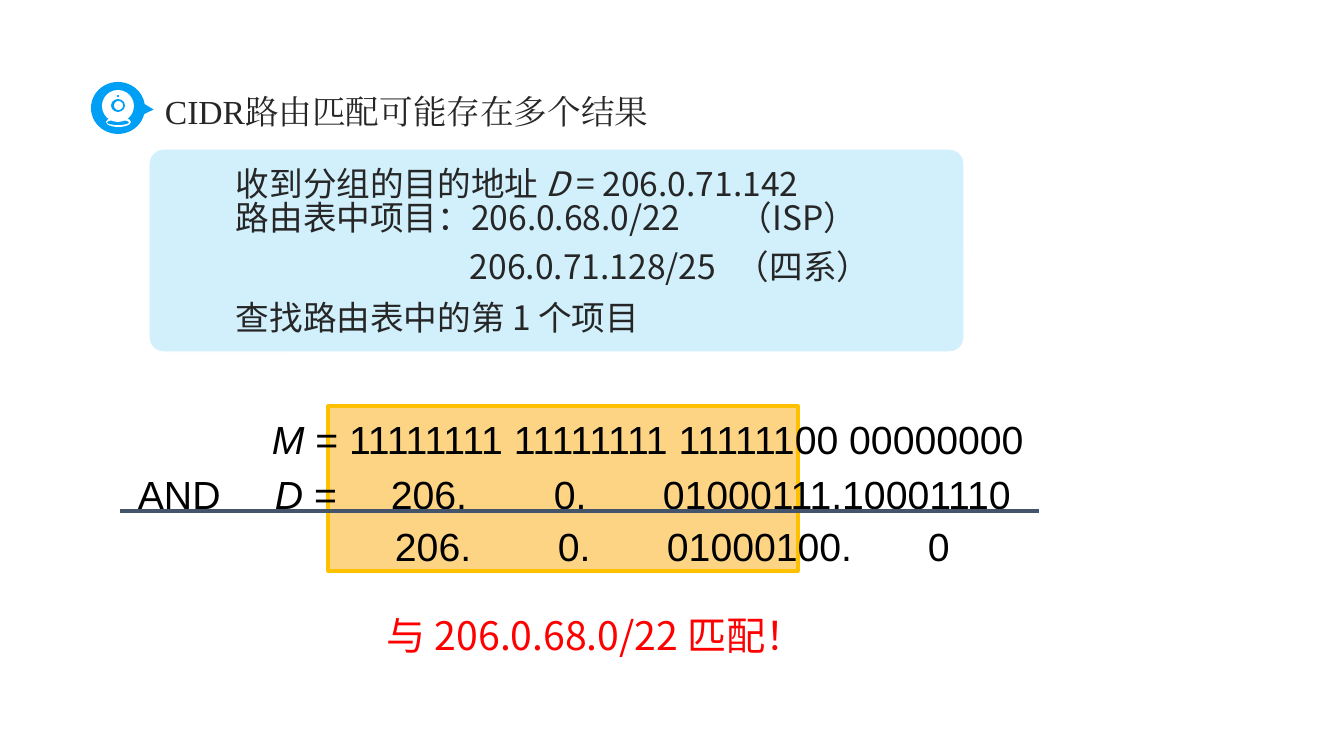
"""Build the slide on CIDR route matching."""
from dataclasses import dataclass

from lxml.etree import SubElement
from pptx import Presentation
from pptx.dml.color import RGBColor
from pptx.enum.shapes import MSO_CONNECTOR, MSO_SHAPE
from pptx.oxml.ns import qn
from pptx.util import Pt


@dataclass(frozen=True)
class Theme:
    blue: str = "009FF6"
    white: str = "FFFFFF"
    ink: str = "262626"
    black: str = "000000"
    red: str = "FF0000"
    sky: str = "00B0F0"
    sand: str = "FCD484"
    gold: str = "FFC000"
    slate: str = "44546A"
    serif: str = "Times New Roman"
    sans: str = "Arial"
    han: str = "Noto Sans CJK SC"
    body: int = 24
    large: int = 28


THEME = Theme()
SCALE = 12192000 / 1344
SIZE = (1344, 756)

TITLE = ((155, 82, 631, 52), ["CIDR路由匹配可能存在多个结果"], [])
CARD = [
    ((226, 161, 696, 92),
     ["收到分组的目的地址 *D* = 206.0.71.142",
      "路由表中项目：206.0.68.0/22\t（ISP）"], [503]),
    ((226, 295, 679, 50), ["查找路由表中的第 1 个项目"], []),
    ((460, 244, 434, 50), ["206.0.71.128/25\t（四系）"], [266]),
]
MATH = [
    ((262, 410, 782, 57), ["*M* = 11111111 11111111 11111100 00000000"], []),
    ((128, 465, 914, 57),
     ["AND\t*D* =\t206.\t0.\t01000111.10001110"], [137, 253, 416, 525]),
    ((352, 517, 625, 57),
     ["\t206.\t0.\t01000100.\t0"], [33, 196, 305, 566]),
]
MATCH = ((377, 610, 460, 57), ["与 206.0.68.0/22 匹配！"], [])
CAMERA = [
    ((106, 117, 25, 10), THEME.white),
    ((107, 120, 22, 5), THEME.blue),
    ((102, 90, 32, 32), THEME.white),
    ((111, 99, 14, 13), THEME.blue),
    ((114, 101, 9, 9), THEME.white),
    ((117, 95, 2, 2), THEME.blue),
]


def emu(*spots):
    """Turn px into EMU."""
    return [round(spot * SCALE) for spot in spots]


def draw(slide, kind, place, fill, line=None, width=1, tune=()):
    """Add a flat preset shape."""
    shape = slide.shapes.add_shape(kind, *emu(*place))
    shape.shadow.inherit = False
    for spot, value in enumerate(tune):
        shape.adjustments[spot] = value
    shape.fill.solid()
    shape.fill.fore_color.rgb = RGBColor.from_string(fill)
    if line:
        shape.line.color.rgb = RGBColor.from_string(line)
        shape.line.width = Pt(width)
    else:
        shape.line.fill.background()
    return shape


def write(slide, item, face, size, color, space=None, drop=5):
    """Add a text box; stars mark italics and tabs sit at px stops."""
    place, lines, stops = item
    frame = slide.shapes.add_textbox(*emu(*place)).text_frame
    frame.word_wrap = True
    frame.margin_top = emu(drop)[0]
    for row, line in enumerate(lines):
        para = frame.add_paragraph() if row else frame.paragraphs[0]
        if stops:
            tabs = SubElement(para._p.get_or_add_pPr(), qn("a:tabLst"))
            for stop in emu(*stops):
                SubElement(tabs, qn("a:tab"), pos=str(stop), algn="l")
        if space:
            para.line_spacing = space
        for part, words in enumerate(line.split("*")):
            if not words:
                continue
            run = para.add_run()
            run.text = words
            run.font.size = Pt(size)
            run.font.italic = part % 2 == 1
            run.font.color.rgb = RGBColor.from_string(color)
            run.font.name = face
            SubElement(run._r.get_or_add_rPr(), qn("a:ea"), typeface=face)


def main():
    """Compose and save the slide."""
    deck = Presentation()
    deck.slide_width, deck.slide_height = emu(*SIZE)
    slide = deck.slides.add_slide(deck.slide_layouts[6])

    draw(slide, MSO_SHAPE.OVAL_CALLOUT, (91, 82, 54, 52), THEME.blue,
         tune=(0.66, 0.03))
    for place, fill in CAMERA:
        draw(slide, MSO_SHAPE.OVAL, place, fill)
    write(slide, TITLE, THEME.serif, THEME.body, THEME.ink, 1.1)

    draw(slide, MSO_SHAPE.RECTANGLE, (328, 406, 470, 165), THEME.sand,
         THEME.gold, 2.25)
    for item in MATH:
        write(slide, item, THEME.sans, THEME.large, THEME.black)
    rule = slide.shapes.add_connector(
        MSO_CONNECTOR.STRAIGHT, *emu(120, 511, 1039, 511))
    rule.line.color.rgb = RGBColor.from_string(THEME.slate)
    rule.line.width = Pt(2.25)
    SubElement(rule._element.spPr, qn("a:effectLst"))
    write(slide, MATCH, THEME.han, THEME.large, THEME.red, 0.83, 9)

    card = draw(slide, MSO_SHAPE.ROUNDED_RECTANGLE, (149, 149, 815, 203),
                THEME.sky, THEME.white, tune=(0.07,))
    tint = card._element.spPr.find(qn("a:solidFill"))[0]
    SubElement(tint, qn("a:alpha"), val="18000")
    for item in CARD:
        write(slide, item, THEME.han, THEME.body, THEME.ink, 0.83, 9)
    deck.save("out.pptx")


if __name__ == "__main__":
    main()
